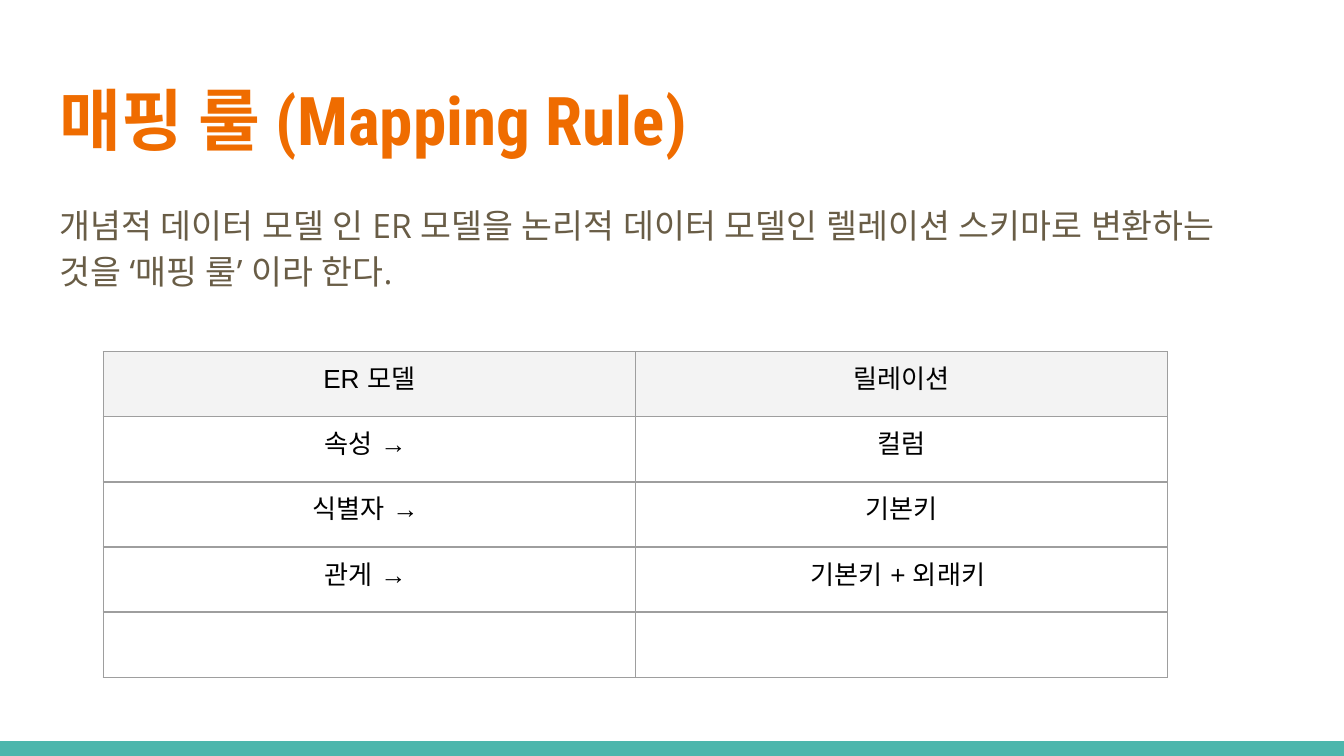
from dataclasses import dataclass

import pptx
import pptx.dml.color
import pptx.enum.shapes
import pptx.enum.text
import pptx.oxml
import pptx.oxml.ns
import pptx.util
from lxml import etree

Cm = pptx.util.Cm
Color = pptx.dml.color.RGBColor

ORANGE = Color(0xEF, 0x6C, 0x00)
BROWN = Color(0x69, 0x5D, 0x46)
TEAL = Color(0x4D, 0xB6, 0xAC)
BLACK = Color(0x00, 0x00, 0x00)
PALE = Color(0xF3, 0xF3, 0xF3)
GREY = Color(0x9E, 0x9E, 0x9E)
WIDE, TALL = 25.4, 14.29
INSET = Cm(0.25)


@dataclass
class Style:
    face: str
    size: int
    color: Color
    bold: bool = False


@dataclass
class Block:
    text: str
    top: float
    height: float
    style: Style
    line: float = 1.0
    after: int = 0


TITLE = Style("Roboto Condensed", 36, ORANGE, True)
BODY = Style("Open Sans", 18, BROWN)
CELL = Style("Arial", 14, BLACK)

BLOCKS = [
    Block("매핑 룰 (Mapping Rule)", 1.24, 1.96, TITLE),
    Block(
        "개념적 데이터 모델 인 ER 모델을 논리적 데이터 모델인 렐레이션 스키마로 "
        "변환하는 것을 ‘매핑 룰’ 이라 한다.",
        3.51, 2.64, BODY, 1.15, 16,
    ),
]
ROWS = [
    ("ER 모델", "릴레이션"),
    ("속성 → ", "컬럼"),
    ("식별자 → ", "기본키"),
    ("관게 → ", "기본키 + 외래키 "),
    ("", ""),
]


def set_font(para, style: Style) -> None:
    font = para.font
    font.name = style.face
    font.size = pptx.util.Pt(style.size)
    font.bold = style.bold
    font.color.rgb = style.color
    east = etree.SubElement(font._element, pptx.oxml.ns.qn("a:ea"))
    east.set("typeface", style.face)


def set_inset(item) -> None:
    item.margin_left = item.margin_right = INSET
    item.margin_top = item.margin_bottom = INSET


def add_block(slide, block: Block) -> None:
    box = slide.shapes.add_textbox(
        Cm(0.87), Cm(block.top), Cm(23.67), Cm(block.height)
    )
    frame = box.text_frame
    frame.word_wrap = True
    set_inset(frame)
    para = frame.paragraphs[0]
    para.text = block.text
    para.line_spacing = block.line
    para.space_after = pptx.util.Pt(block.after)
    set_font(para, block.style)


def add_edges(cell) -> None:
    props = cell._tc.get_or_add_tcPr()
    space = pptx.oxml.ns.nsdecls("a")
    for side in "LRTB":
        props.append(pptx.oxml.parse_xml(
            f'<a:ln{side} {space} w="9525"><a:solidFill>'
            f'<a:srgbClr val="{GREY}"/></a:solidFill></a:ln{side}>'
        ))


def add_grid(slide, rows: list[tuple[str, str]]) -> None:
    frame = slide.shapes.add_table(
        len(rows), 2, Cm(1.95), Cm(6.65), Cm(20.12), Cm(1.23 * len(rows))
    )
    table = frame.table
    table.first_row = table.horz_banding = False
    for i, row in enumerate(rows):
        for j, text in enumerate(row):
            cell = table.cell(i, j)
            set_inset(cell)
            add_edges(cell)
            if i == 0:
                cell.fill.solid()
                cell.fill.fore_color.rgb = PALE
            else:
                cell.fill.background()
            para = cell.text_frame.paragraphs[0]
            para.text = text
            para.alignment = pptx.enum.text.PP_ALIGN.CENTER
            set_font(para, CELL)


def add_strip(slide) -> None:
    strip = slide.shapes.add_shape(
        pptx.enum.shapes.MSO_SHAPE.RECTANGLE,
        Cm(0), Cm(14.01), Cm(WIDE), Cm(0.28),
    )
    strip.shadow.inherit = False
    strip.fill.solid()
    strip.fill.fore_color.rgb = TEAL
    strip.line.fill.background()


def main() -> None:
    deck = pptx.Presentation()
    deck.slide_width, deck.slide_height = Cm(WIDE), Cm(TALL)
    slide = deck.slides.add_slide(deck.slide_layouts[6])
    add_strip(slide)
    for block in BLOCKS:
        add_block(slide, block)
    add_grid(slide, ROWS)
    deck.save("out.pptx")


if __name__ == "__main__":
    main()
